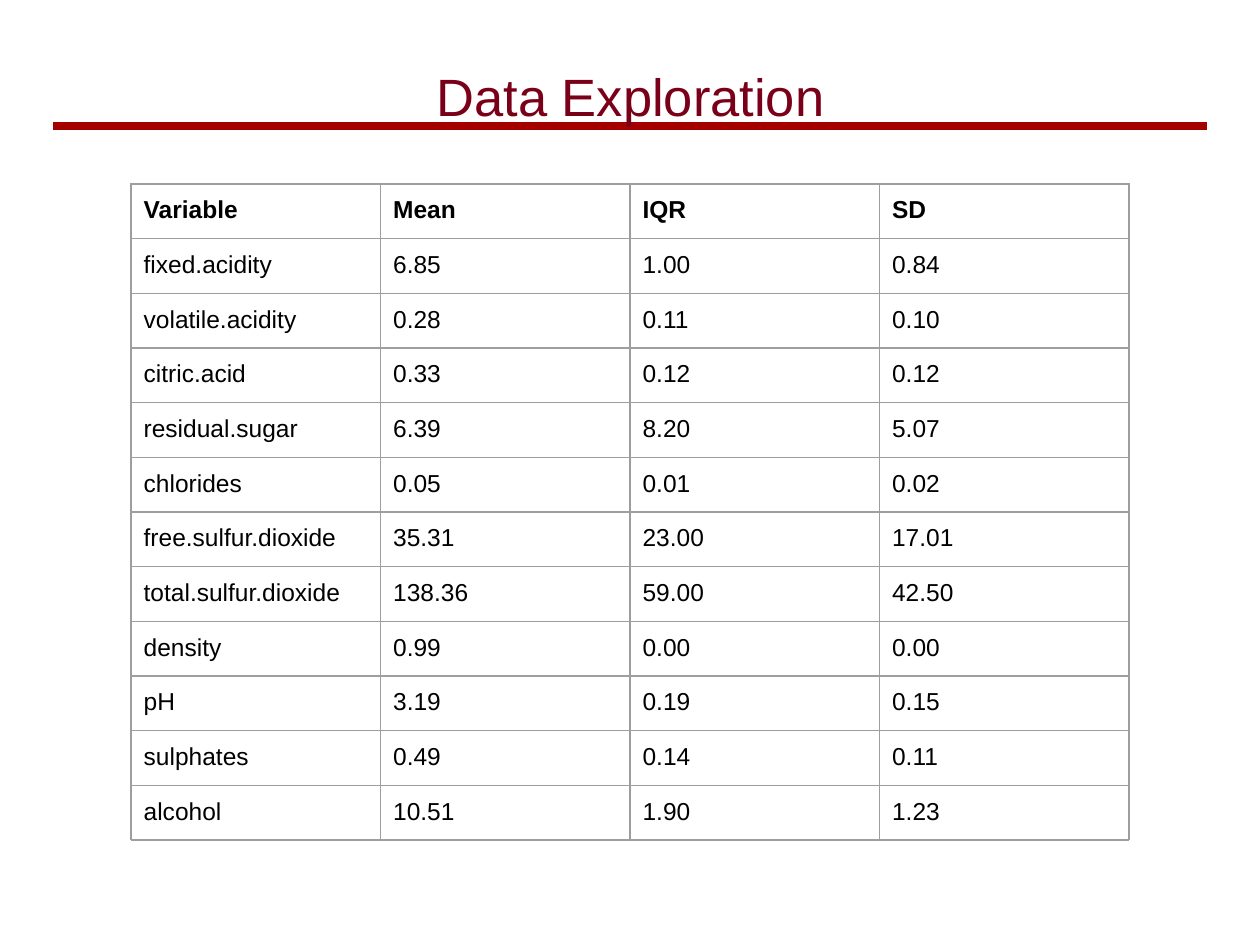
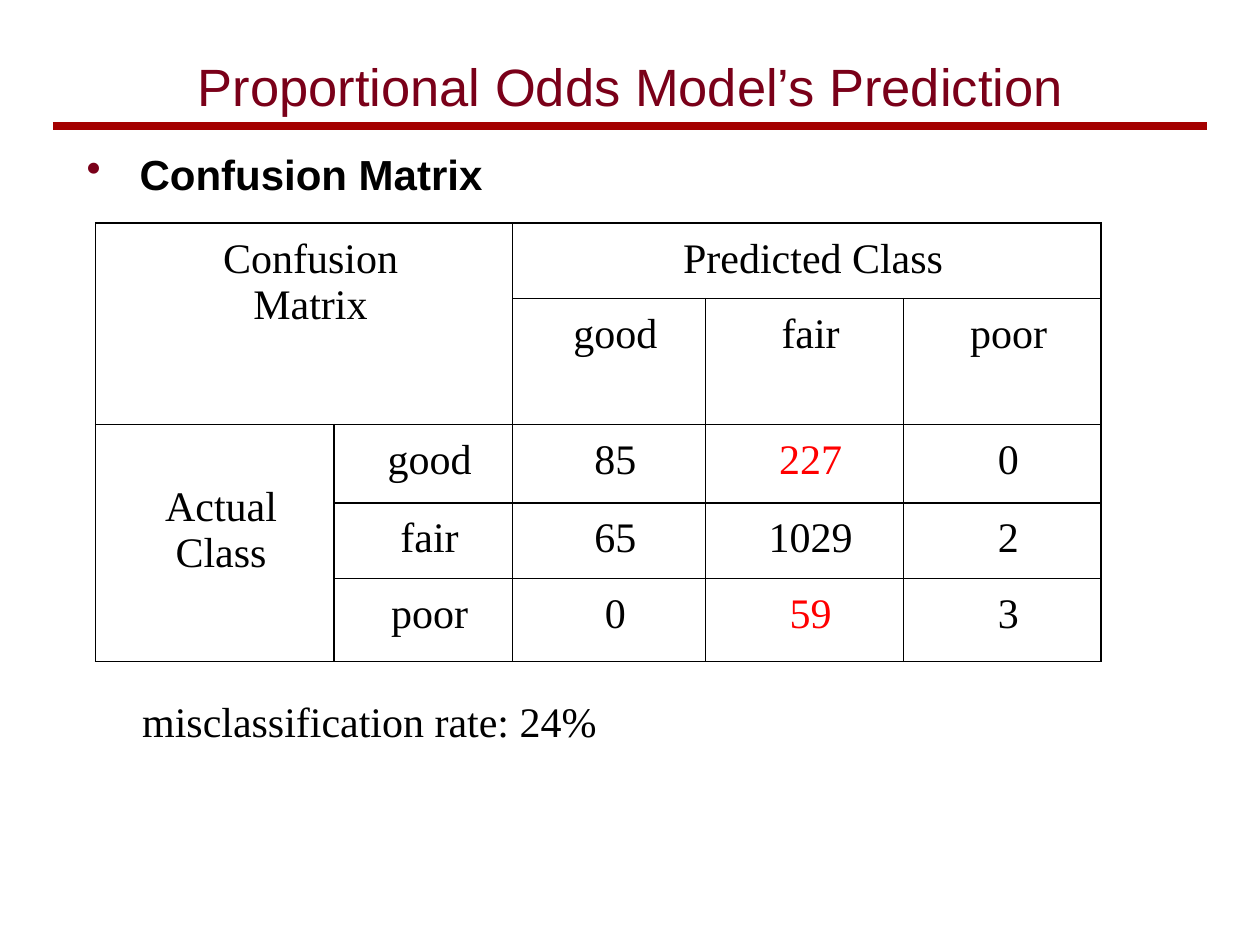
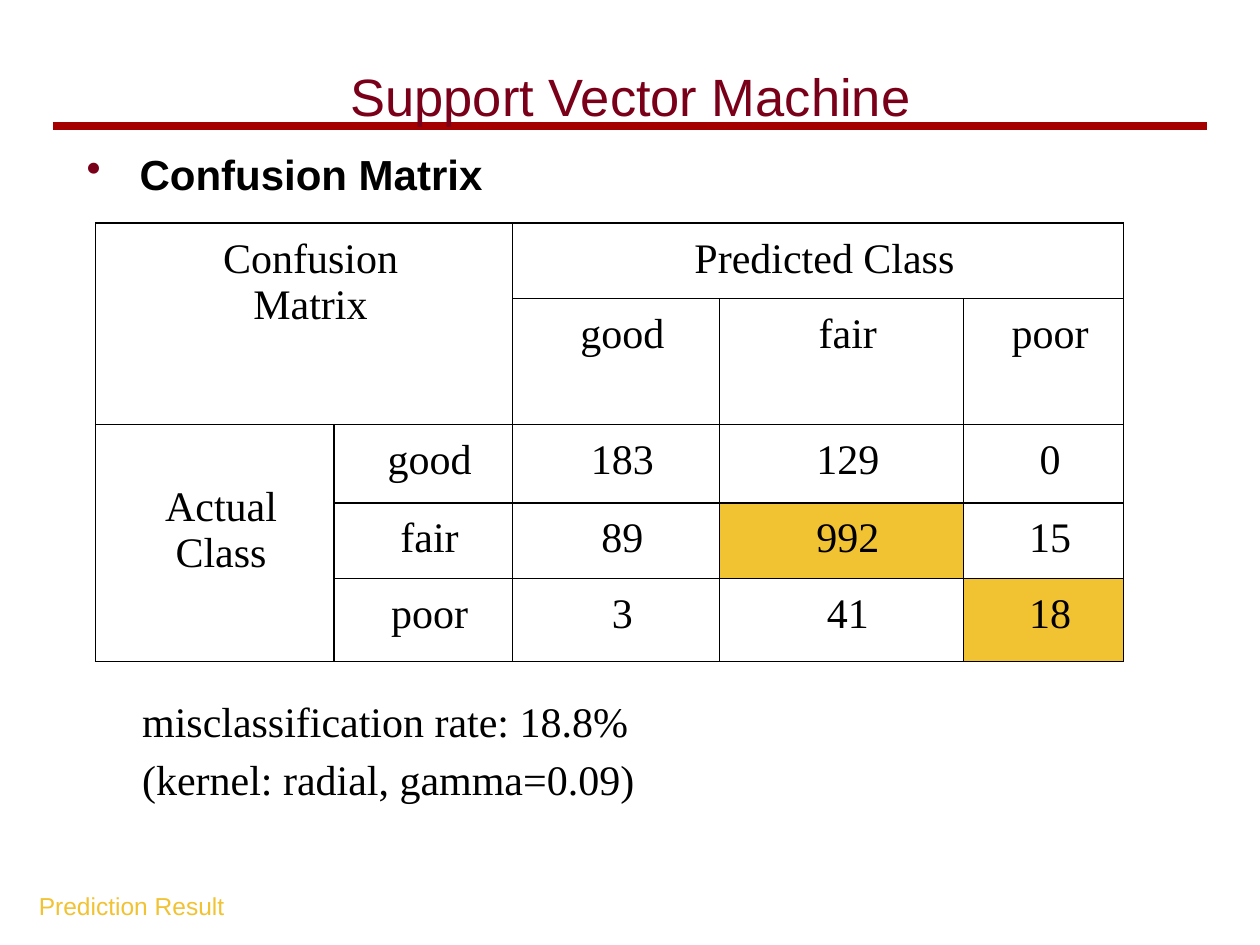
from itertools import product
from lxml.etree import SubElement
from pptx import Presentation
from pptx.dml.color import RGBColor
from pptx.enum.shapes import MSO_CONNECTOR
from pptx.enum.text import MSO_ANCHOR, PP_ALIGN
from pptx.oxml import parse_xml
from pptx.oxml.ns import nsdecls, qn
from pptx.util import Inches, Pt

HUES = {
    "title": "7A0019", "rule": "A40000", "ink": "000000", "grid": "9E9E9E",
    "miss": "FF0000", "gold": "F1C232",
}
SANS, SERIF = "Arial", "Times New Roman"

STATS = """Variable Mean IQR SD
fixed.acidity 6.85 1.00 0.84
volatile.acidity 0.28 0.11 0.10
citric.acid 0.33 0.12 0.12
residual.sugar 6.39 8.20 5.07
chlorides 0.05 0.01 0.02
free.sulfur.dioxide 35.31 23.00 17.01
total.sulfur.dioxide 138.36 59.00 42.50
density 0.99 0.00 0.00
pH 3.19 0.19 0.15
sulphates 0.49 0.14 0.11
alcohol 10.51 1.90 1.23"""
GRADES = ("good", "fair", "poor")


def tint(name):
    return RGBColor.from_string(HUES[name])


def write(frame, text, size=24, font=SANS, hue="ink", bold=False, align=PP_ALIGN.LEFT,
          left=0, indent=0, before=0, pitch=None, bullet=None):
    frame.word_wrap = True
    for i, line in enumerate(text.split("\n")):
        para = frame.add_paragraph() if i else frame.paragraphs[0]
        para.alignment = align
        para.space_before = Pt(before)
        if pitch:
            para.line_spacing = pitch
        props = para._p.get_or_add_pPr()
        props.set("marL", str(Inches(left)))
        props.set("indent", str(Inches(indent)))
        if bullet:
            color = SubElement(props, qn("a:buClr"))
            SubElement(color, qn("a:srgbClr")).set("val", HUES["title"])
            SubElement(props, qn("a:buChar")).set("char", bullet)
        run = para.add_run()
        run.text = line
        run.font.size = Pt(size)
        run.font.name = font
        run.font.bold = bold
        run.font.color.rgb = tint(hue)


def pad(part, side=0.1, top=0.1):
    part.margin_left = part.margin_right = Inches(side)
    part.margin_top = Inches(top)
    part.margin_bottom = Inches(0.1)


def label(slide, box, text, anchor=MSO_ANCHOR.TOP, **style):
    frame = slide.shapes.add_textbox(*map(Inches, box)).text_frame
    pad(frame)
    frame.vertical_anchor = anchor
    write(frame, text, **style)


def header(slide, text, top=0.17):
    rule = slide.shapes.add_connector(
        MSO_CONNECTOR.STRAIGHT, Inches(0.42), Inches(1), Inches(9.58), Inches(1))
    rule.line.color.rgb = tint("rule")
    rule.line.width = Pt(4.5)
    SubElement(rule._element.spPr, qn("a:effectLst"))
    label(slide, (0.42, top, 9.17, 1.17), text, anchor=MSO_ANCHOR.MIDDLE,
          size=30, hue="title", align=PP_ALIGN.CENTER)


def edge(cell, hue, width):
    props = cell._tc.get_or_add_tcPr()
    for i, side in enumerate("LRTB"):
        props.insert(i, parse_xml(
            f'<a:ln{side} {nsdecls("a")} w="{Pt(width)}"><a:solidFill>'
            f'<a:srgbClr val="{HUES[hue]}"/></a:solidFill></a:ln{side}>'))


def grid(slide, left, top, cols, rows, hue, width):
    table = slide.shapes.add_table(
        len(rows), len(cols), Inches(left), Inches(top),
        Inches(sum(cols)), Inches(sum(rows))).table
    table.first_row = table.horz_banding = False
    for col, size in zip(table.columns, cols):
        col.width = Inches(size)
    for row, size in zip(table.rows, rows):
        row.height = Inches(size)
    for cell in table.iter_cells():
        cell.fill.background()
        edge(cell, hue, width)
    return table


def stats(slide, left, top):
    data = [line.split() for line in STATS.split("\n")]
    table = grid(slide, left, top, [1.98] * 4, [0.42] * len(data), "grid", 0.75)
    for r, c in product(range(len(data)), range(4)):
        cell = table.cell(r, c)
        pad(cell)
        write(cell.text_frame, data[r][c], size=14, bold=r == 0)


def matrix(slide, left, top, widths, counts, miss=(), gold=()):
    table = grid(slide, left, top, [1.89, 1.42, *widths],
                 [0.58, 0.94, 0.62, 0.58, 0.66], "ink", 1)
    for first, last in (((0, 0), (1, 1)), ((0, 2), (0, 4)), ((2, 0), (4, 0))):
        table.cell(*first).merge(table.cell(*last))
    texts = {(0, 0): "Confusion\nMatrix", (0, 2): "Predicted Class", (2, 0): "Actual\nClass"}
    for i, grade in enumerate(GRADES):
        texts[1, i + 2] = texts[i + 2, 1] = grade
        for j, count in enumerate(counts[i]):
            texts[i + 2, j + 2] = str(count)
    for spot, text in texts.items():
        cell = table.cell(*spot)
        pad(cell, side=0.07, top=0.47 if spot == (2, 0) else 0.1)
        write(cell.text_frame, text, font=SERIF, align=PP_ALIGN.CENTER, left=0.1,
              hue="miss" if spot in miss else "ink")
        if spot in gold:
            cell.fill.solid()
            cell.fill.fore_color.rgb = tint("gold")


def result(slide, note, widths, counts, **marks):
    label(slide, (0.51, 1.08, 3.77, 0.69), "Confusion Matrix", bold=True,
          left=0.5, indent=-0.42, before=4.8, bullet="•")
    matrix(slide, 0.76, 1.77, widths, counts, **marks)
    label(slide, (0.81, 5.36, 7.4, 0.86), note, font=SERIF, indent=0.22, pitch=1.15)


def main():
    deck = Presentation()
    deck.slide_width, deck.slide_height = Inches(10), Inches(7.5)
    data, odds, vector = (deck.slides.add_slide(deck.slide_layouts[6]) for _ in range(3))

    header(data, "Data Exploration")
    stats(data, 1.04, 1.46)

    header(odds, "Proportional Odds Model’s Prediction", top=0.09)
    result(odds, "misclassification rate: 24%", (1.53, 1.57, 1.57),
           ((85, 227, 0), (65, 1029, 2), (0, 59, 3)), miss=((2, 3), (4, 3)))

    header(vector, "Support Vector Machine")
    result(vector, "misclassification rate: 18.8%\n(kernel: radial, gamma=0.09)",
           (1.64, 1.94, 1.27), ((183, 129, 0), (89, 992, 15), (3, 41, 18)),
           gold=((3, 3), (4, 4)))
    label(vector, (0.21, 6.97, 3.26, 0.4), "Prediction Result", size=14, hue="gold")
    deck.save("out.pptx")


if __name__ == "__main__":
    main()
